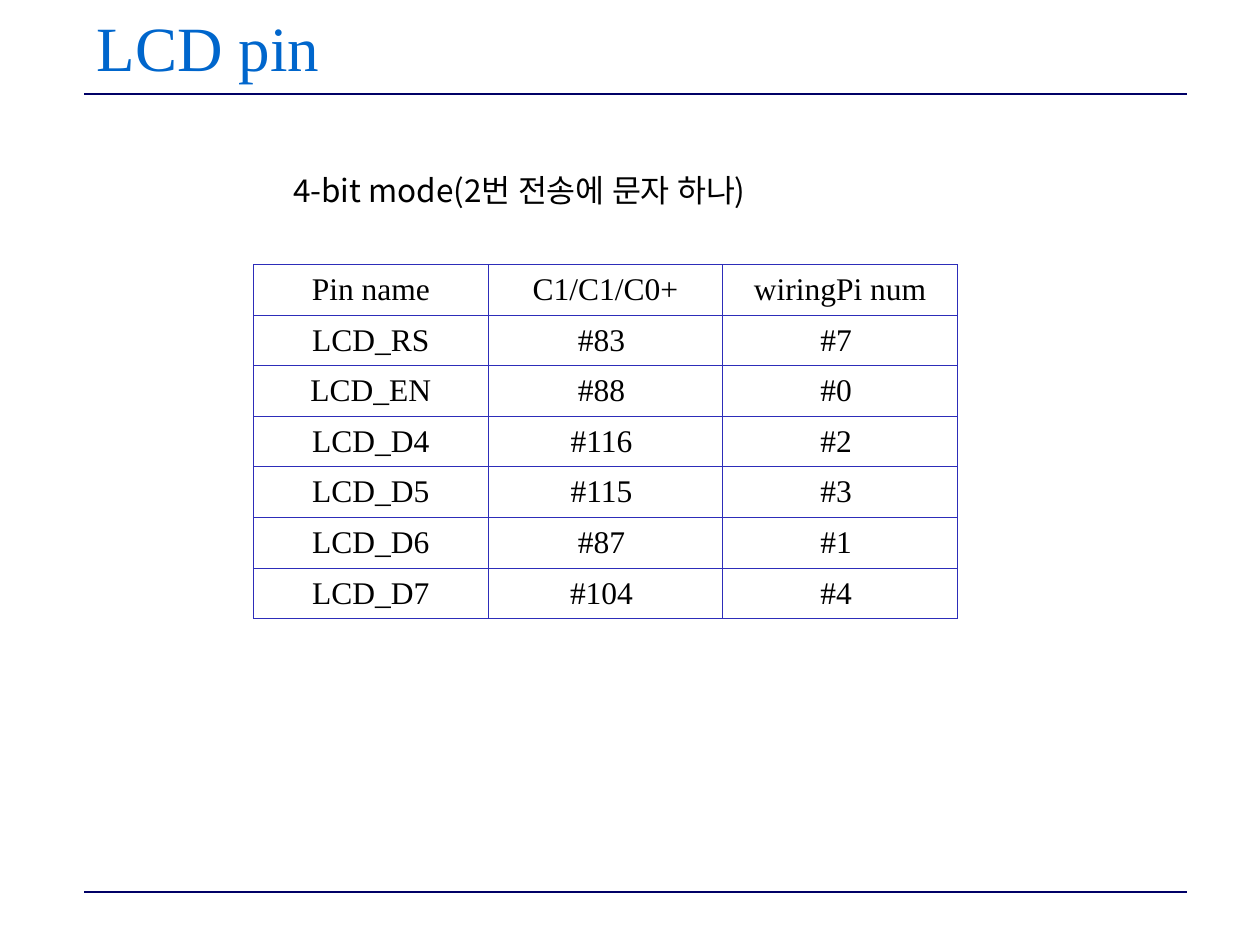
from dataclasses import dataclass
from typing import NamedTuple

from lxml import etree
from pptx import Presentation
from pptx.dml.color import RGBColor
from pptx.enum import shapes, text
from pptx.oxml.ns import qn
from pptx.util import Cm, Pt


@dataclass(frozen=True)
class Theme:
    latin: str = "Times New Roman"
    korean: str = "Noto Sans CJK KR"
    title: str = "0066CC"
    body: str = "000000"
    rule: str = "000066"
    grid: str = "2D2DB9"
    title_size: float = 36
    body_size: float = 18
    rule_width: float = 1
    grid_width: float = 0.45


class Pin(NamedTuple):
    name: str
    board: int
    wiring_pi: int


THEME = Theme()
LEFT, RIGHT = Cm(1.7), Cm(23.92)
RULE_TOPS = (Cm(17.98), Cm(1.9))
COLUMN_WIDTH, ROW_HEIGHT = Cm(4.73), Cm(1.02)
HEADINGS = ("Pin name", "C1/C1/C0+", "wiringPi num")
PINS = (
    Pin("LCD_RS", 83, 7),
    Pin("LCD_EN", 88, 0),
    Pin("LCD_D4", 116, 2),
    Pin("LCD_D5", 115, 3),
    Pin("LCD_D6", 87, 1),
    Pin("LCD_D7", 104, 4),
)


def write(frame, words: str, *, font: str = THEME.latin, size: float = THEME.body_size,
          color: str = THEME.body, align=text.PP_ALIGN.LEFT) -> None:
    paragraph = frame.paragraphs[0]
    paragraph.alignment = align
    run = paragraph.add_run()
    run.text = words
    run.font.name = font
    run.font.size = Pt(size)
    run.font.color.rgb = RGBColor.from_string(color)
    east_asian = etree.SubElement(run.font._element, qn("a:ea"))
    east_asian.set("typeface", font)


def draw_rule(slide, top: int) -> None:
    rule = slide.shapes.add_connector(shapes.MSO_CONNECTOR.STRAIGHT, LEFT, top, RIGHT, top)
    rule.line.color.rgb = RGBColor.from_string(THEME.rule)
    rule.line.width = Pt(THEME.rule_width)
    etree.SubElement(rule._element.spPr, qn("a:effectLst"))


def outline_cell(cell) -> None:
    """Draw all four borders; they must come before the fill in the cell XML."""
    properties = cell._tc.get_or_add_tcPr()
    for position, side in enumerate(("lnL", "lnR", "lnT", "lnB")):
        border = etree.Element(qn(f"a:{side}"), w=str(Pt(THEME.grid_width)))
        fill = etree.SubElement(border, qn("a:solidFill"))
        etree.SubElement(fill, qn("a:srgbClr"), val=THEME.grid)
        properties.insert(position, border)


def draw_pin_table(slide) -> None:
    # The space after each number sets it slightly left of the column centre.
    rows = [HEADINGS] + [(pin.name, f"#{pin.board} ", f"#{pin.wiring_pi} ") for pin in PINS]
    pin_table = slide.shapes.add_table(
        len(rows), len(HEADINGS), Cm(5.11), Cm(5.33),
        COLUMN_WIDTH * len(HEADINGS), ROW_HEIGHT * len(rows)).table
    pin_table.horz_banding = False
    pin_table.first_row = False
    for row_index, row in enumerate(rows):
        for column_index, words in enumerate(row):
            cell = pin_table.cell(row_index, column_index)
            cell.fill.background()
            cell.vertical_anchor = text.MSO_ANCHOR.MIDDLE
            outline_cell(cell)
            write(cell.text_frame, words, align=text.PP_ALIGN.CENTER)


def main() -> None:
    deck = Presentation()
    deck.slide_width, deck.slide_height = Cm(25.4), Cm(19.05)
    slide = deck.slides.add_slide(deck.slide_layouts[5])

    for top in RULE_TOPS:
        draw_rule(slide, top)

    heading = slide.shapes.title
    heading.left, heading.top = LEFT, Cm(0.2)
    heading.width, heading.height = RIGHT - LEFT, Cm(1.47)
    heading.text_frame.vertical_anchor = text.MSO_ANCHOR.MIDDLE
    heading.text_frame.auto_size = text.MSO_AUTO_SIZE.NONE
    write(heading.text_frame, "LCD pin", size=THEME.title_size, color=THEME.title)

    draw_pin_table(slide)

    mode_note = slide.shapes.add_textbox(Cm(5.66), Cm(3.33), Cm(9.75), Cm(1.02))
    mode_note.text_frame.word_wrap = True
    write(mode_note.text_frame, "4-bit mode(2번 전송에 문자 하나)", font=THEME.korean)

    deck.save("out.pptx")


if __name__ == "__main__":
    main()
